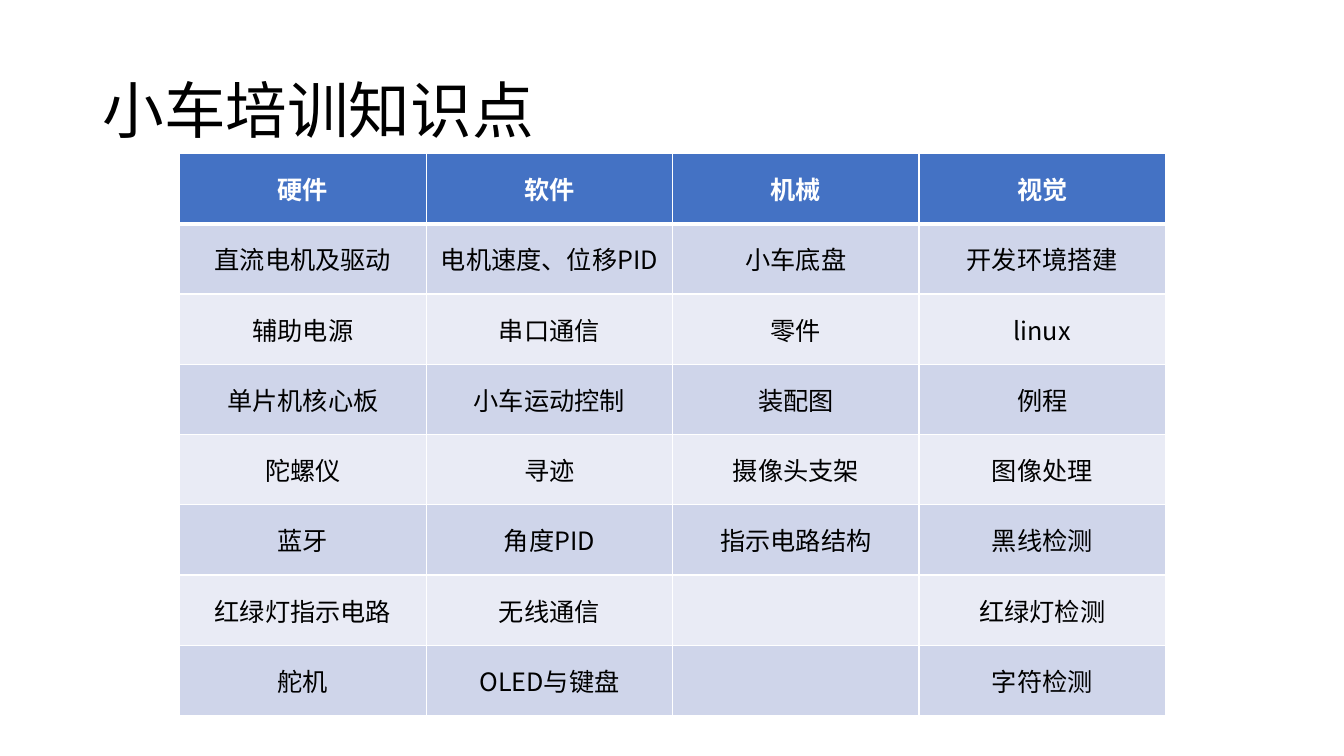
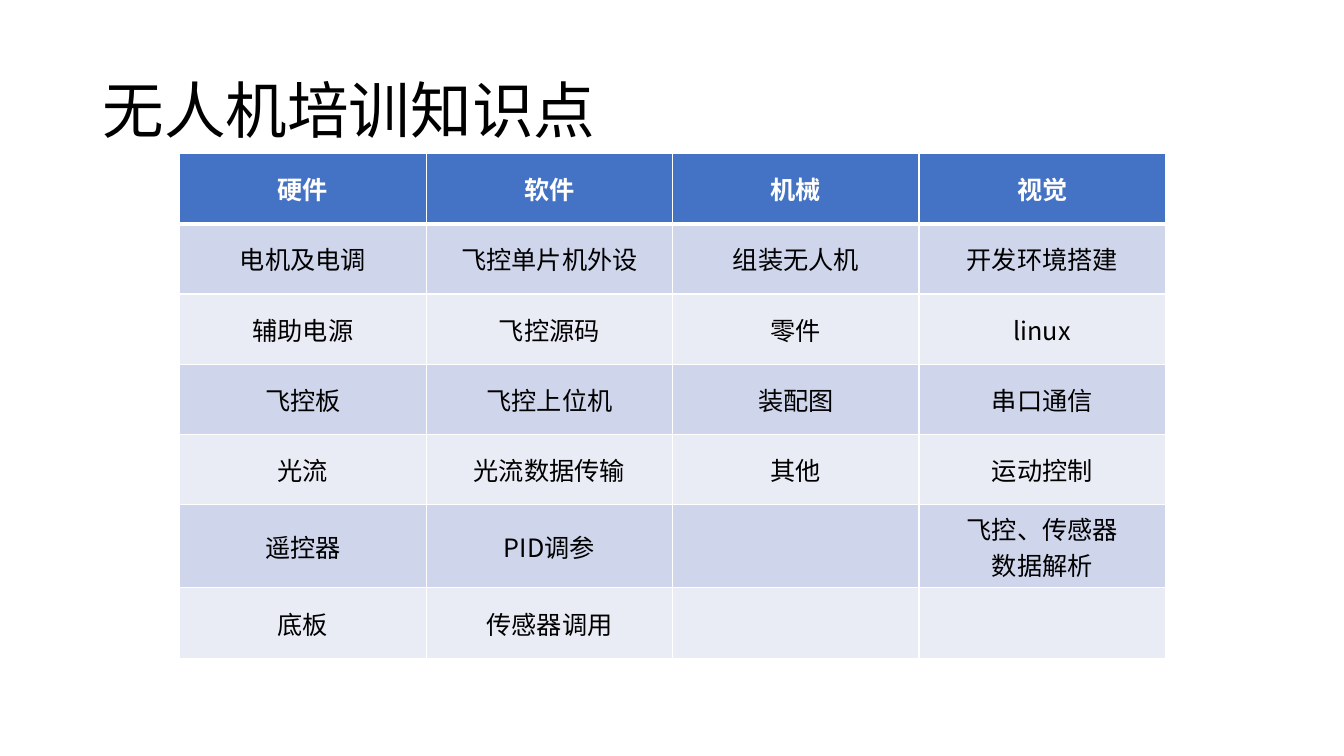
from lxml import etree
from pptx import Presentation
from pptx.dml.color import RGBColor
from pptx.enum.text import MSO_ANCHOR, MSO_AUTO_SIZE, PP_ALIGN
from pptx.oxml.ns import qn
from pptx.util import Cm, Pt

MIDDLE = MSO_ANCHOR.MIDDLE
NO_AUTOFIT = MSO_AUTO_SIZE.NONE
LEFT, CENTER = PP_ALIGN.LEFT, PP_ALIGN.CENTER
TITLE_ONLY = 5

HEADINGS = ["硬件", "软件", "机械", "视觉"]
CAR_TOPICS = [
    ["直流电机及驱动", "电机速度、位移PID", "小车底盘", "开发环境搭建"],
    ["辅助电源", "串口通信", "零件", "linux"],
    ["单片机核心板", "小车运动控制", "装配图", "例程"],
    ["陀螺仪", "寻迹", "摄像头支架", "图像处理"],
    ["蓝牙", "角度PID", "指示电路结构", "黑线检测"],
    ["红绿灯指示电路", "无线通信", "", "红绿灯检测"],
    ["舵机", "OLED与键盘", "", "字符检测"],
]
DRONE_TOPICS = [
    ["电机及电调", "飞控单片机外设", "组装无人机", "开发环境搭建"],
    ["辅助电源", "飞控源码", "零件", "linux"],
    ["飞控板", "飞控上位机", "装配图", "串口通信"],
    ["光流", "光流数据传输", "其他", "运动控制"],
    ["遥控器", "PID调参", "", "飞控、传感器\n数据解析"],
    ["底板", "传感器调用", "", ""],
]


def color(hex_string):
    return RGBColor.from_string(hex_string)


def write_text(text_frame, text, *, size, ink, font, bold=False, align=CENTER, spacing=1.0):
    """Write each line of the text as one formatted paragraph."""
    for index, line in enumerate(text.split("\n")):
        paragraph = text_frame.add_paragraph() if index else text_frame.paragraphs[0]
        paragraph.alignment = align
        paragraph.line_spacing = spacing
        run = paragraph.add_run()
        run.text = line
        run.font.size = Pt(size)
        run.font.bold = bold
        run.font.name = font
        run.font.color.rgb = color(ink)
        # East Asian characters take their typeface from a separate element.
        etree.SubElement(run.font._element, qn("a:ea"), typeface=font)


def set_borders(cell, hex_string, **widths):
    """Draw cell borders; widths are points keyed by L, R, T and B, in that order."""
    properties = cell._tc.get_or_add_tcPr()
    for side, width in widths.items():
        line = etree.SubElement(properties, qn(f"a:ln{side}"), w=str(Pt(width)))
        fill = etree.SubElement(line, qn("a:solidFill"))
        etree.SubElement(fill, qn("a:srgbClr"), val=hex_string)


class Deck:
    FONT = "Noto Sans CJK SC"
    BLACK, WHITE = "000000", "FFFFFF"
    HEADER = "4472C4"
    BANDS = ["E9EBF5", "CFD5EA"]
    COLUMN_WIDTH, ROW_HEIGHT = Cm(6.21), Cm(1.77)
    THIN, THICK = 1, 3

    def __init__(self):
        self.presentation = Presentation()
        self.presentation.slide_width = Cm(33.87)
        self.presentation.slide_height = Cm(19.05)
        self.slide = None

    def add_slide(self, title):
        layout = self.presentation.slide_layouts[TITLE_ONLY]
        self.slide = self.presentation.slides.add_slide(layout)
        shape = self.slide.shapes.title
        shape.left, shape.top = Cm(2.33), Cm(1.01)
        shape.width, shape.height = Cm(29.21), Cm(3.68)
        text_frame = shape.text_frame
        text_frame.word_wrap = True
        text_frame.auto_size = NO_AUTOFIT
        text_frame.vertical_anchor = MIDDLE
        write_text(text_frame, title, size=44, ink=self.BLACK, font=self.FONT,
                   align=LEFT, spacing=0.9)

    def add_topic_table(self, headings, topics):
        rows = [headings, *topics]
        table = self.slide.shapes.add_table(
            len(rows), len(headings), Cm(4.53), Cm(3.87),
            self.COLUMN_WIDTH * len(headings), self.ROW_HEIGHT * len(rows)).table
        for column in table.columns:
            column.width = self.COLUMN_WIDTH
        for row_index, texts in enumerate(rows):
            table.rows[row_index].height = self.ROW_HEIGHT
            for column_index, text in enumerate(texts):
                self.format_cell(table.cell(row_index, column_index), text, row_index)

    def format_cell(self, cell, text, row_index):
        is_header = row_index == 0
        set_borders(cell, self.WHITE, L=self.THIN, R=self.THIN,
                    T=self.THICK if row_index == 1 else self.THIN,
                    B=self.THICK if is_header else self.THIN)
        cell.fill.solid()
        cell.fill.fore_color.rgb = color(self.HEADER if is_header else self.BANDS[row_index % 2])
        cell.vertical_anchor = MIDDLE
        if text:
            write_text(cell.text_frame, text, size=18, font=self.FONT, bold=is_header,
                       ink=self.WHITE if is_header else self.BLACK)


def main():
    deck = Deck()
    for title, topics in [("小车培训知识点", CAR_TOPICS), ("无人机培训知识点", DRONE_TOPICS)]:
        deck.add_slide(title)
        deck.add_topic_table(HEADINGS, topics)
    deck.presentation.save("out.pptx")


if __name__ == "__main__":
    main()
